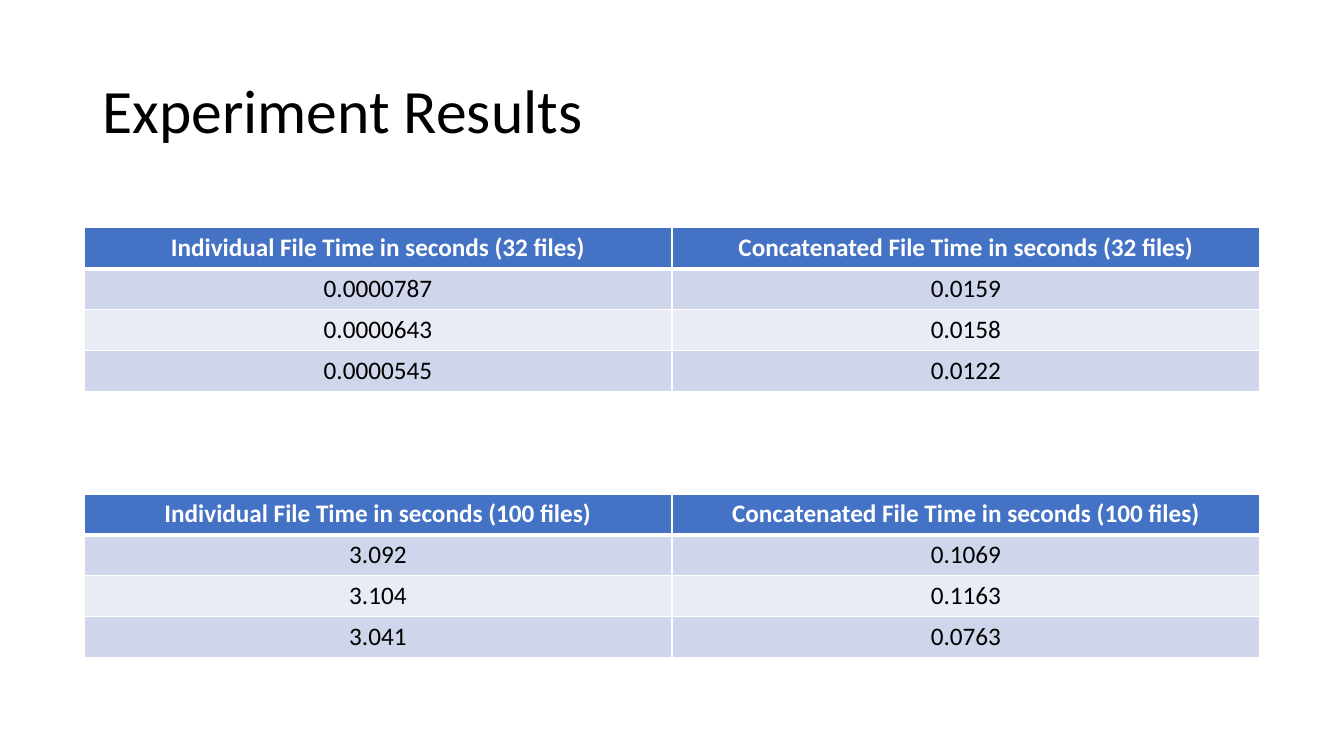
"""Build the experiment results slide with two timing tables."""
import dataclasses

import lxml.etree
import pptx
import pptx.dml.color
import pptx.enum.text
import pptx.oxml.ns
import pptx.slide
import pptx.table
import pptx.text.text
import pptx.util


@dataclasses.dataclass(frozen=True)
class Theme:
    font: str = "Calibri"
    title_size: int = 44
    cell_size: int = 18
    text: str = "000000"
    header_text: str = "FFFFFF"
    header_fill: str = "4472C4"
    bands: tuple[str, str] = ("CFD5EA", "E9EBF5")
    border: str = "FFFFFF"
    thin: int = 1
    thick: int = 3


@dataclasses.dataclass(frozen=True)
class Grid:
    width: float = 13.33
    height: float = 7.5
    columns: int = 16
    rows: int = 75

    def x(self, columns: float) -> pptx.util.Length:
        return pptx.util.Inches(self.width * columns / self.columns)

    def y(self, rows: float) -> pptx.util.Length:
        return pptx.util.Inches(self.height * rows / self.rows)


@dataclasses.dataclass(frozen=True)
class Timing:
    files: int
    top: float
    results: tuple[tuple[str, str], ...]


THEME = Theme()
GRID = Grid()
METHODS = ("Individual", "Concatenated")
TABLE_ROWS = 16.2
TIMINGS = (
    Timing(32, 22.6, (("0.0000787", "0.0159"), ("0.0000643", "0.0158"), ("0.0000545", "0.0122"))),
    Timing(100, 49, (("3.092", "0.1069"), ("3.104", "0.1163"), ("3.041", "0.0763"))),
)


def add_run(p: pptx.text.text._Paragraph, text: str, size: int, color: str, bold: bool = False) -> None:
    r = p.add_run()
    r.text = text
    r.font.name = THEME.font
    r.font.size = pptx.util.Pt(size)
    r.font.bold = bold
    r.font.color.rgb = pptx.dml.color.RGBColor.from_string(color)


def set_border(cell: pptx.table._Cell, side: str, width: int) -> None:
    qn = pptx.oxml.ns.qn
    tc_pr = cell._tc.get_or_add_tcPr()
    ln = lxml.etree.SubElement(tc_pr, qn(f"a:ln{side}"), w=str(pptx.util.Pt(width)))
    fill = lxml.etree.SubElement(ln, qn("a:solidFill"))
    lxml.etree.SubElement(fill, qn("a:srgbClr"), val=THEME.border)


def fill_cell(cell: pptx.table._Cell, text: str, row: int) -> None:
    header = row == 0
    widths = {
        "L": THEME.thin,
        "R": THEME.thin,
        "T": THEME.thick if row == 1 else THEME.thin,
        "B": THEME.thick if header else THEME.thin,
    }
    for side, width in widths.items():
        set_border(cell, side, width)
    color = THEME.header_fill if header else THEME.bands[(row - 1) % 2]
    cell.fill.solid()
    cell.fill.fore_color.rgb = pptx.dml.color.RGBColor.from_string(color)
    p = cell.text_frame.paragraphs[0]
    p.alignment = pptx.enum.text.PP_ALIGN.CENTER
    add_run(p, text, THEME.cell_size, THEME.header_text if header else THEME.text, header)


def add_title(slide: pptx.slide.Slide, text: str) -> None:
    sp = slide.shapes.title
    sp.left, sp.top = GRID.x(1.1), GRID.y(4)
    sp.width, sp.height = GRID.x(13.8), GRID.y(14.5)
    tf = sp.text_frame
    tf.vertical_anchor = pptx.enum.text.MSO_ANCHOR.MIDDLE
    p = tf.paragraphs[0]
    p.alignment = pptx.enum.text.PP_ALIGN.LEFT
    p.line_spacing = 0.9
    add_run(p, text, THEME.title_size, THEME.text)


def add_timing(slide: pptx.slide.Slide, timing: Timing) -> None:
    header = tuple(f"{method} File Time in seconds ({timing.files} files)" for method in METHODS)
    rows = (header, *timing.results)
    table = slide.shapes.add_table(
        len(rows), len(METHODS), GRID.x(1), GRID.y(timing.top), GRID.x(14), GRID.y(TABLE_ROWS)
    ).table
    for i, values in enumerate(rows):
        for j, value in enumerate(values):
            fill_cell(table.cell(i, j), value, i)


def main() -> None:
    prs = pptx.Presentation()
    prs.slide_width, prs.slide_height = GRID.x(GRID.columns), GRID.y(GRID.rows)
    slide = prs.slides.add_slide(prs.slide_layouts.get_by_name("Title Only"))
    add_title(slide, "Experiment Results")
    for timing in TIMINGS:
        add_timing(slide, timing)
    prs.save("out.pptx")


if __name__ == "__main__":
    main()
